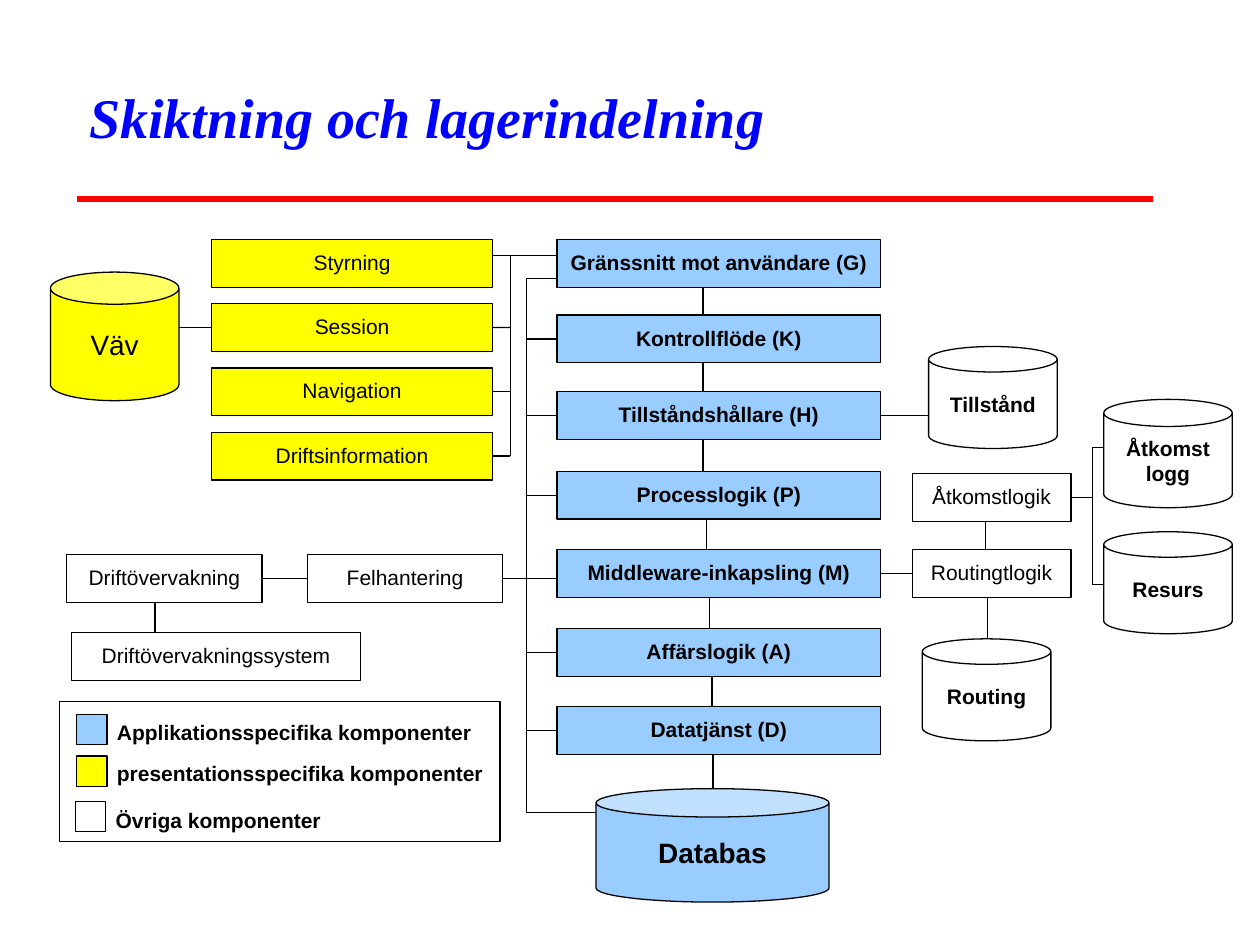
"""Build a slide on layers and tiers of an application."""
from pptx import Presentation
from pptx.dml.color import RGBColor
from pptx.enum import shapes, text
from pptx.oxml.ns import qn
from pptx.util import Inches, Pt
from lxml import etree

BLACK = RGBColor(0, 0, 0)
BLUE = RGBColor(0x99, 0xCC, 0xFF)
YELLOW = RGBColor(0xFF, 0xFF, 0)
RED = RGBColor(0xFF, 0, 0)
TITLE = RGBColor(0, 0, 0xFF)
RECT = shapes.MSO_SHAPE.RECTANGLE
CAN = shapes.MSO_SHAPE.CAN
HIGH = 0.38

deck = Presentation()
deck.slide_width, deck.slide_height = Inches(10), Inches(7.5)
slide = deck.slides.add_slide(deck.slide_layouts[6])
nodes = {}


def make(kind, at, fill=None, words="", size=12, bold=False):
    node = slide.shapes.add_shape(kind, *map(Inches, at))
    node.shadow.inherit = False
    node.line.color.rgb = BLACK
    node.line.width = Pt(0.75)
    if fill is None:
        node.fill.background()
    else:
        node.fill.solid()
        node.fill.fore_color.rgb = fill
    if not words:
        return
    frame = node.text_frame
    frame.text = words
    frame.word_wrap = kind == RECT
    if kind == RECT:
        frame.vertical_anchor = text.MSO_ANCHOR.TOP
        frame.margin_top = Inches(0.08)
    else:
        frame.vertical_anchor = text.MSO_ANCHOR.MIDDLE
    for para in frame.paragraphs:
        para.alignment = text.PP_ALIGN.CENTER
        if kind == RECT:
            para.space_before = Pt(7.5)
        para.font.name = "Arial"
        para.font.size = Pt(size)
        para.font.bold = bold
        para.font.color.rgb = BLACK
    nodes[words] = node


def link(start, stop, color=BLACK, width=0.75):
    """Draw a line; an end is a point or a node name with its side."""
    spots = [(0, 0) if isinstance(end[0], str) else end for end in (start, stop)]
    line = slide.shapes.add_connector(
        shapes.MSO_CONNECTOR.STRAIGHT, *(Inches(v) for spot in spots for v in spot))
    for end, glue in ((start, line.begin_connect), (stop, line.end_connect)):
        if isinstance(end[0], str):
            glue(nodes[end[0]], end[1])
    line.line.color.rgb = color
    line.line.width = Pt(width)
    etree.SubElement(line._element.spPr, qn("a:effectLst"))


link((0.61, 1.58), (9.15, 1.58), RED, 3)
head = slide.shapes.add_textbox(Inches(0.61), Inches(0.33), Inches(8.5), Inches(1.25))
head.text_frame.word_wrap = True
head.text_frame.vertical_anchor = text.MSO_ANCHOR.MIDDLE
para = head.text_frame.paragraphs[0]
para.text = "Skiktning och lagerindelning"
para.line_spacing = 0.9
para.font.name = "Times New Roman"
para.font.size = Pt(32)
para.font.bold = para.font.italic = True
para.font.color.rgb = TITLE

tiers = [
    ("Gränssnitt mot användare (G)", 1.9, 5.58),
    ("Kontrollflöde (K)", 2.5, 5.58),
    ("Tillståndshållare (H)", 3.11, 5.58),
    ("Processlogik (P)", 3.74, 5.61),
    ("Middleware-inkapsling (M)", 4.36, 5.63),
    ("Affärslogik (A)", 4.99, 5.65),
    ("Datatjänst (D)", 5.61, 5.66),
]
for name, top, x in tiers:
    make(RECT, (4.42, top, 2.57, HIGH), BLUE, name, bold=True)

views = ["Styrning", "Session", "Navigation", "Driftsinformation"]
for i, name in enumerate(views):
    make(RECT, (1.68, 1.9 + 0.51 * i, 2.23, HIGH), YELLOW, name)

for name, left, top, wide in [
    ("Felhantering", 2.44, 4.4, 1.55),
    ("Driftövervakning", 0.53, 4.4, 1.55),
    ("Driftövervakningssystem", 0.57, 5.02, 2.29),
    ("Routingtlogik", 7.24, 4.36, 1.26),
    ("Åtkomstlogik", 7.24, 3.76, 1.26),
]:
    make(RECT, (left, top, wide, HIGH), None, name)

make(CAN, (0.4, 2.16, 1.02, 1.02), YELLOW, "Väv", 16)
make(CAN, (4.73, 6.26, 1.85, 0.9), BLUE, "Databas", 16, True)
for name, left, top, high in [
    ("Routing", 7.32, 5.07, 0.81),
    ("Åtkomst\nlogg", 8.76, 3.17, 0.86),
    ("Resurs", 8.76, 4.22, 0.81),
    ("Tillstånd", 7.37, 2.75, 0.81),
]:
    make(CAN, (left, top, 1.02, high), None, name, bold=True)

below = [top for name, top, x in tiers[1:]] + [6.26]
for (name, top, x), low in zip(tiers, below):
    link((x, top + HIGH), (x, low))
for name, top, x in tiers[1:]:
    if name != "Middleware-inkapsling (M)":
        link((name, 1), (4.18, top + HIGH / 2))
for i, name in enumerate(views[1:], 1):
    link((name, 3), (4.05, 2.09 + 0.51 * i))

for start, stop in [
    ((4.18, 2.21), (4.18, 6.45)),
    ((4.18, 2.21), (4.42, 2.21)),
    ((4.18, 6.45), (4.73, 6.45)),
    ((4.42, 2.03), (3.91, 2.03)),
    ((4.05, 2.03), (4.05, 3.62)),
    (("Felhantering", 3), (4.42, 4.59)),
    (("Session", 1), (1.42, 2.6)),
    ((1.23, 4.78), (1.23, 5.02)),
    (("Driftövervakning", 3), ("Felhantering", 1)),
    (("Middleware-inkapsling (M)", 3), ("Routingtlogik", 1)),
    ((7.82, 4.14), (7.82, 4.36)),
    ((7.84, 4.74), (7.84, 5.07)),
    (("Tillståndshållare (H)", 3), (7.37, 3.3)),
    (("Åtkomstlogik", 3), (8.67, 3.95)),
    ((8.67, 3.55), (8.67, 4.64)),
    ((8.67, 4.64), (8.76, 4.64)),
    ((8.67, 3.55), (8.76, 3.55)),
]:
    link(start, stop)

for label, fill, left, top, gap, wide in [
    ("Applikationsspecifika komponenter", BLUE, 0.61, 5.67, -0.01, 3.11),
    ("presentationsspecifika komponenter", YELLOW, 0.61, 6, -0.01, 3.13),
    ("Övriga komponenter", None, 0.6, 6.36, 0, 1.93),
]:
    make(RECT, (left, top, 0.24, 0.24), fill)
    note = slide.shapes.add_textbox(
        Inches(left + 0.22), Inches(top + gap), Inches(wide), Inches(0.3))
    note.text_frame.word_wrap = False
    para = note.text_frame.paragraphs[0]
    para.text = label
    para.font.name = "Arial"
    para.font.size = Pt(12)
    para.font.bold = True
    para.font.color.rgb = BLACK
make(RECT, (0.47, 5.57, 3.5, 1.11))

deck.save("out.pptx")
